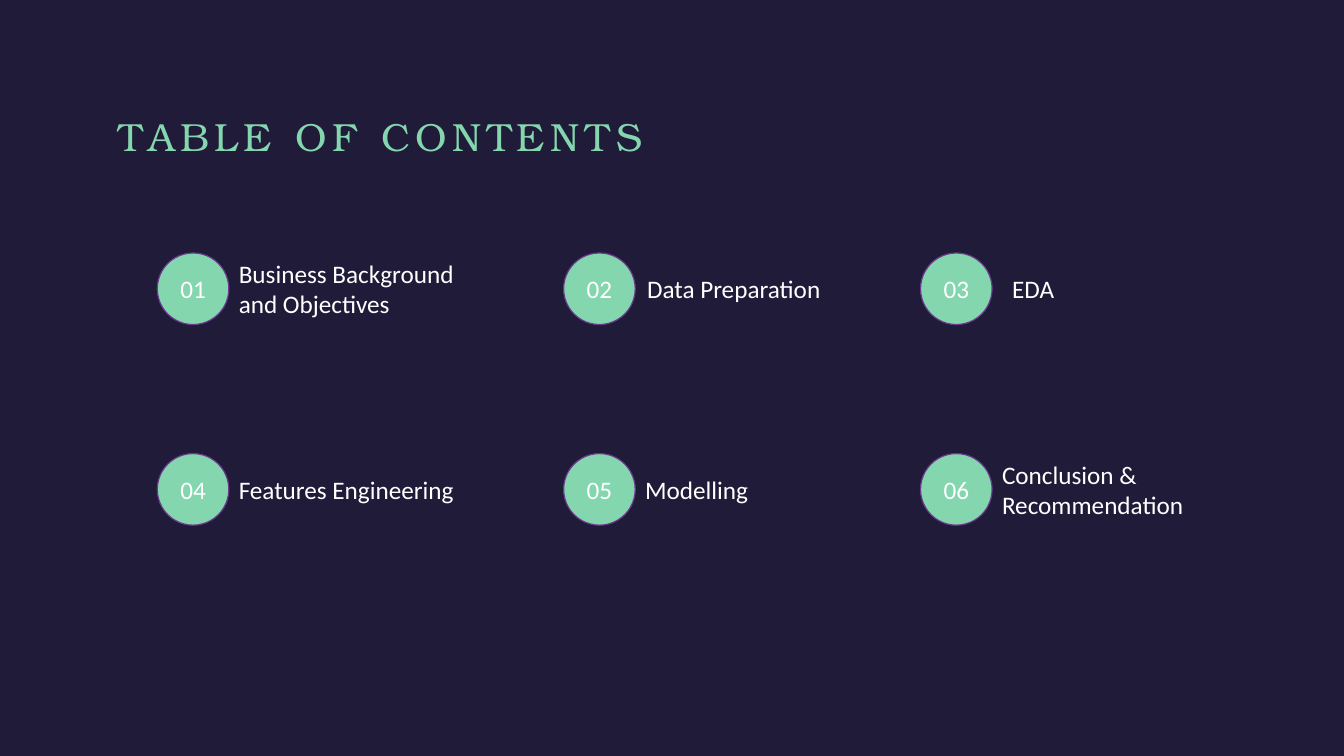
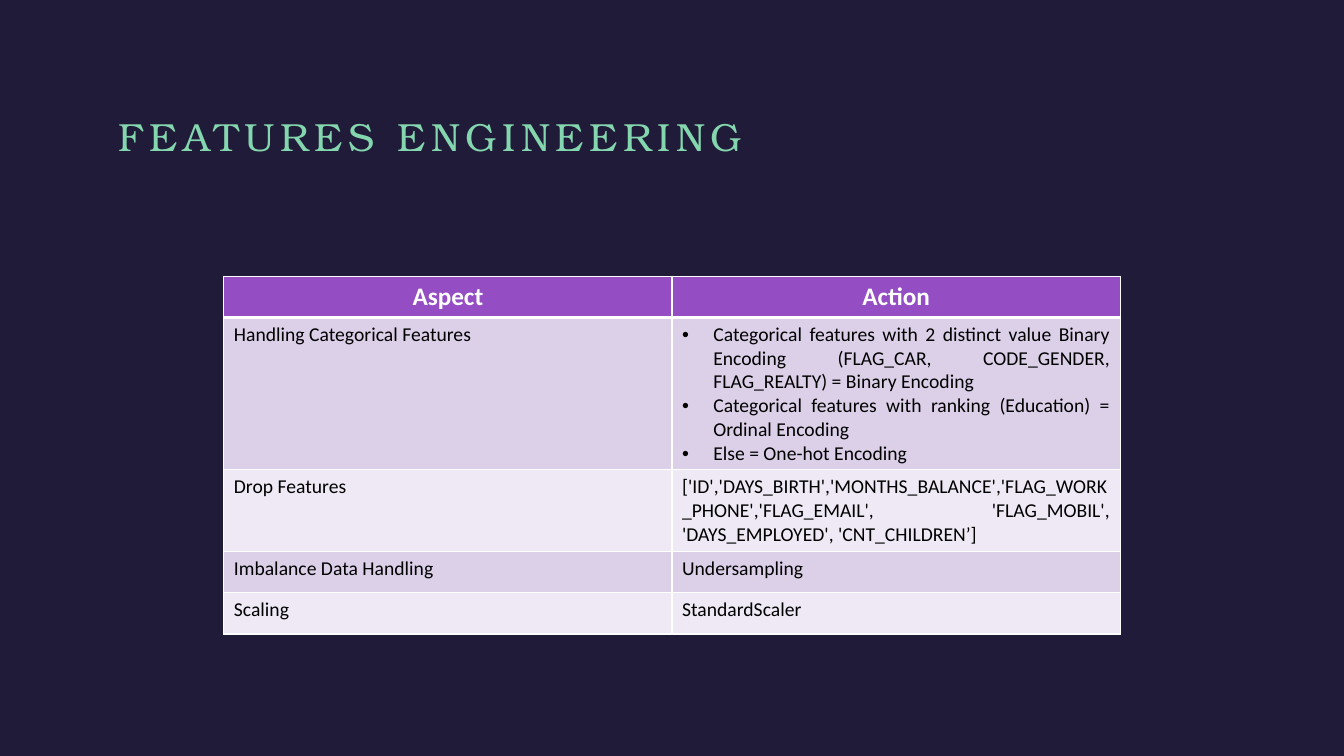
from dataclasses import dataclass

from lxml import etree
from pptx import Presentation
from pptx.dml.color import RGBColor
from pptx.enum.shapes import MSO_SHAPE
from pptx.enum.text import MSO_ANCHOR, PP_ALIGN
from pptx.oxml.ns import qn
from pptx.util import Inches, Pt

OVAL = MSO_SHAPE.OVAL
MIDDLE, TOP = MSO_ANCHOR.MIDDLE, MSO_ANCHOR.TOP
LEFT, CENTER, JUSTIFY = PP_ALIGN.LEFT, PP_ALIGN.CENTER, PP_ALIGN.JUSTIFY


@dataclass(frozen=True)
class Theme:
    back: str = "201B38"
    mint: str = "84D6AE"
    outline: str = "6D3990"
    header: str = "944DC3"
    bands: tuple = ("DCD0E9", "EEE9F5")
    white: str = "FFFFFF"
    black: str = "000000"
    title_font: str = "TeX Gyre Bonum"
    body_font: str = "Calibri"
    title_size: int = 28
    label_size: int = 18
    cell_size: int = 14
    tracking: int = 4


@dataclass(frozen=True)
class Box:
    x: float
    y: float
    w: float
    h: float

    @property
    def emu(self):
        return [Inches(v) for v in (self.x, self.y, self.w, self.h)]


T = Theme()
PAGE = Box(0, 0, 13.33, 7.5)
TITLE = Box(1.18, 1.11, 10.97, 0.72)
CONTENTS = Box(1.56, 2.51, 10.51, 2.7)
TABLE = Box(2.22, 2.74, 8.89, 3.55)

CIRCLE = 0.71
COLUMN_STARTS = (0, 4.03, 7.57)
LABEL_WIDTH = 2.64
TOPICS = [
    (["Business Background", "and Objectives"], 0),
    (["Data Preparation"], 0.02),
    (["EDA"], 0.1),
    (["Features Engineering"], 0),
    (["Modelling"], 0),
    (["Conclusion &", "Recommendation"], 0),
]

ROW_HEIGHTS = (0.41, 1.51, 0.81, 0.41, 0.41)
ROWS = [
    (["Aspect"], ["Action"]),
    (["Handling Categorical Features"], [
        "Categorical features with 2 distinct value Binary Encoding "
        "(FLAG_CAR, CODE_GENDER, FLAG_REALTY) = Binary Encoding",
        "Categorical features with ranking (Education) = Ordinal Encoding",
        "Else = One-hot Encoding",
    ]),
    (["Drop Features"], [
        "['ID','DAYS_BIRTH','MONTHS_BALANCE','FLAG_WORK_PHONE','FLAG_EMAIL', "
        "'FLAG_MOBIL', 'DAYS_EMPLOYED', 'CNT_CHILDREN’]",
    ]),
    (["Imbalance Data Handling"], ["Undersampling"]),
    (["Scaling"], ["StandardScaler"]),
]


def rgb(color):
    return RGBColor.from_string(color)


def add_bullet(p):
    pPr = p._p.get_or_add_pPr()
    pPr.set("marL", str(Inches(0.31)))
    pPr.set("indent", str(-Inches(0.31)))
    etree.SubElement(pPr, qn("a:buFont"), typeface="Arial")
    etree.SubElement(pPr, qn("a:buChar"), char="•")


def write(tf, lines, size=T.label_size, color=T.white, font=T.body_font,
          bold=False, align=LEFT, tracking=0, bullets=False):
    for i, line in enumerate(lines):
        p = tf.paragraphs[0] if i == 0 else tf.add_paragraph()
        p.alignment = align
        if bullets:
            add_bullet(p)
        r = p.add_run()
        r.text = line
        r.font.size = Pt(size)
        r.font.name = font
        r.font.bold = bold
        r.font.color.rgb = rgb(color)
        if tracking:
            r.font._element.set("spc", str(tracking * 100))


def add_text(s, box, lines, anchor=MIDDLE, inset=None, **style):
    tf = s.shapes.add_textbox(*box.emu).text_frame
    tf.word_wrap = True
    tf.vertical_anchor = anchor
    if inset is not None:
        tf.margin_left = tf.margin_right = Inches(inset)
        tf.margin_top = tf.margin_bottom = Inches(inset)
    write(tf, lines, **style)


def add_slide(prs, title):
    s = prs.slides.add_slide(prs.slide_layouts[6])
    s.background.fill.solid()
    s.background.fill.fore_color.rgb = rgb(T.back)
    add_text(s, TITLE, [title], anchor=TOP, inset=0, size=T.title_size,
             color=T.mint, font=T.title_font, tracking=T.tracking)
    return s


def add_topic(s, box, number, lines, nudge):
    sp = s.shapes.add_shape(OVAL, *Box(box.x, box.y, box.h, box.h).emu)
    sp.shadow.inherit = False
    sp.fill.solid()
    sp.fill.fore_color.rgb = rgb(T.mint)
    sp.line.color.rgb = rgb(T.outline)
    sp.line.width = Pt(0.85)
    sp.text_frame.vertical_anchor = MIDDLE
    write(sp.text_frame, [f"{number:02}"], align=CENTER)
    label = Box(box.x + box.h + nudge, box.y, box.w - box.h, box.h)
    add_text(s, label, lines)


def add_contents(s, box):
    row_step = box.h - CIRCLE
    for i, (lines, nudge) in enumerate(TOPICS):
        row, col = divmod(i, len(COLUMN_STARTS))
        cell = Box(box.x + COLUMN_STARTS[col], box.y + row * row_step,
                   CIRCLE + LABEL_WIDTH, CIRCLE)
        add_topic(s, cell, i + 1, lines, nudge)


def set_borders(cell, **widths):
    tcPr = cell._tc.get_or_add_tcPr()
    for side in "LRTB":
        ln = etree.SubElement(tcPr, qn(f"a:ln{side}"), w=str(Pt(widths.get(side, 1))))
        fill = etree.SubElement(ln, qn("a:solidFill"))
        etree.SubElement(fill, qn("a:srgbClr"), val=T.white)


def format_cell(cell, lines, row):
    if row == 0:
        color, borders = T.header, {"B": 3}
        style = dict(bold=True, align=CENTER)
    else:
        color, borders = T.bands[(row - 1) % 2], {"T": 3 if row == 1 else 1}
        style = dict(size=T.cell_size, color=T.black, align=JUSTIFY,
                     bullets=len(lines) > 1)
    set_borders(cell, **borders)
    cell.fill.solid()
    cell.fill.fore_color.rgb = rgb(color)
    write(cell.text_frame, lines, **style)


def add_actions(s, box):
    table = s.shapes.add_table(len(ROWS), len(ROWS[0]), *box.emu).table
    table.horz_banding = False
    for i, (height, cells) in enumerate(zip(ROW_HEIGHTS, ROWS)):
        table.rows[i].height = Inches(height)
        for j, lines in enumerate(cells):
            format_cell(table.cell(i, j), lines, i)


def main():
    prs = Presentation()
    prs.slide_width, prs.slide_height = PAGE.emu[2:]
    add_contents(add_slide(prs, "TABLE OF CONTENTS"), CONTENTS)
    add_actions(add_slide(prs, "FEATURES ENGINEERING"), TABLE)
    prs.save("out.pptx")


if __name__ == "__main__":
    main()
